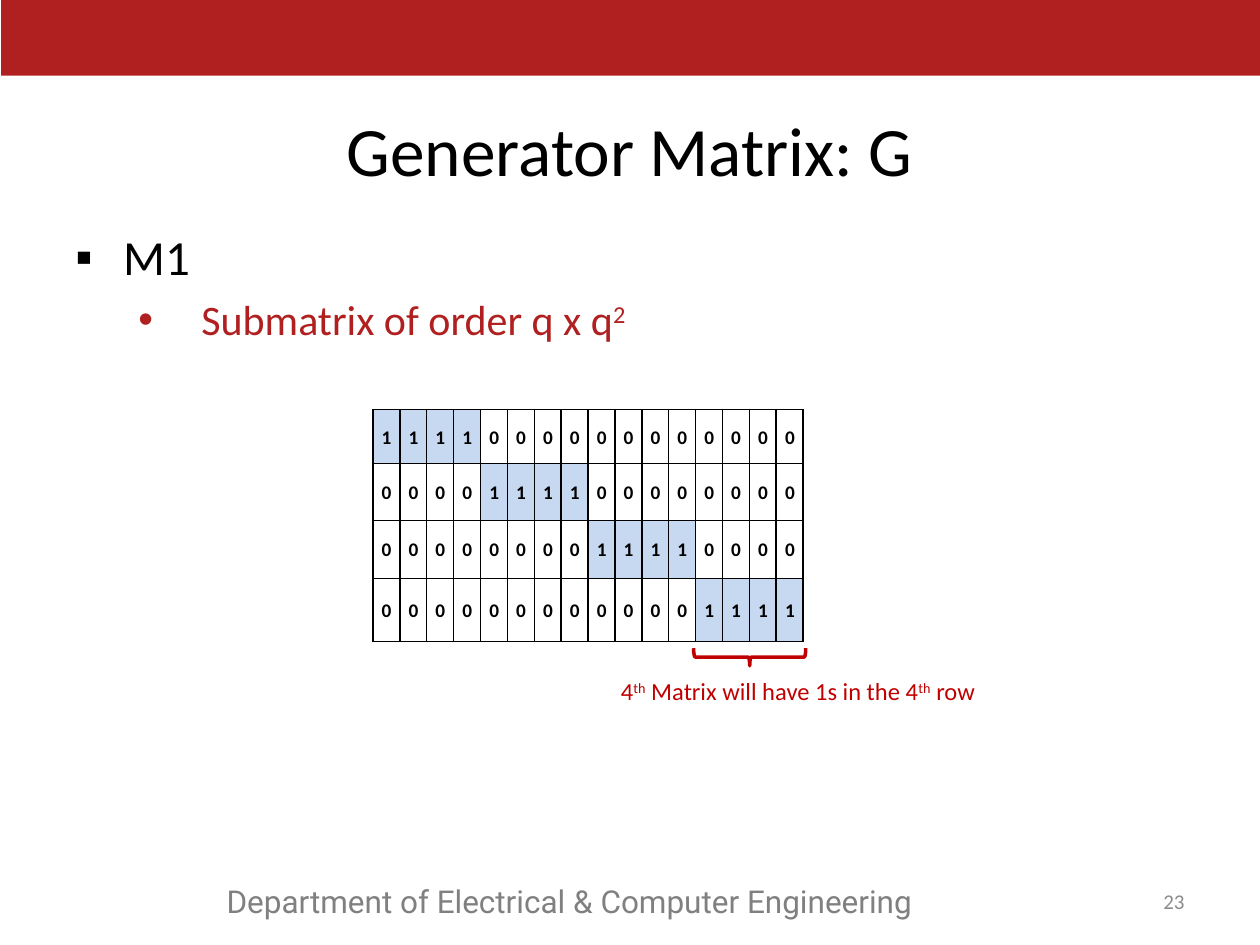
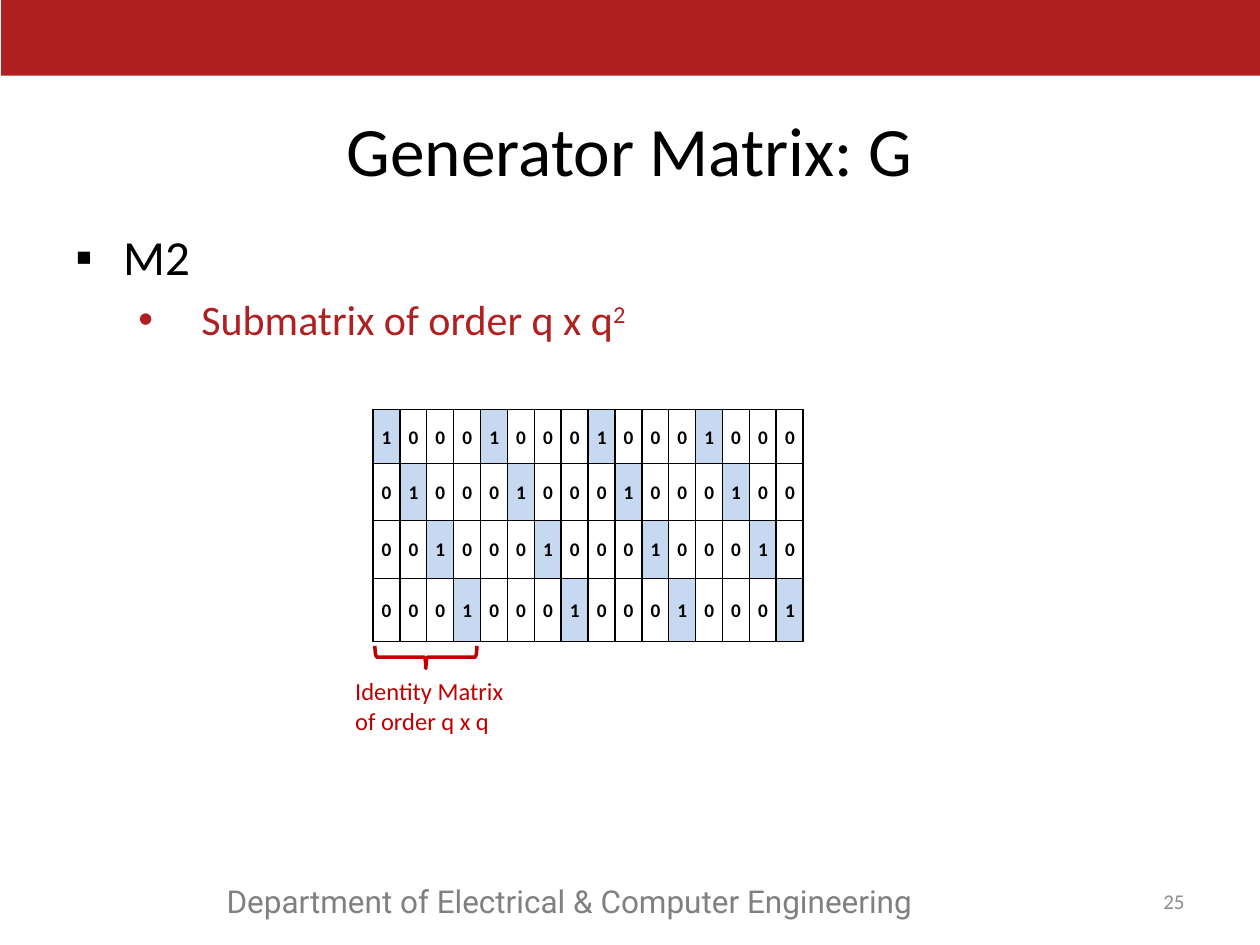
from lxml import etree
from pptx import Presentation
from pptx import util as u
from pptx.dml.color import RGBColor
from pptx.enum import shapes, text
from pptx.oxml import ns

BAND_RED = RGBColor(0xB1, 0x20, 0x20)
NOTE_RED = RGBColor(0xC0, 0x00, 0x00)
BLACK = RGBColor(0x00, 0x00, 0x00)
FOOTER_GRAY = RGBColor(0x80, 0x80, 0x80)
NUMBER_GRAY = RGBColor(0x8C, 0x8C, 0x8C)
CELL_BLUE = RGBColor(0xC6, 0xD9, 0xF1)

LEFT, CENTER, RIGHT = text.PP_ALIGN.LEFT, text.PP_ALIGN.CENTER, text.PP_ALIGN.RIGHT
TOP, MIDDLE = text.MSO_ANCHOR.TOP, text.MSO_ANCHOR.MIDDLE

ORDER = 4
ROW_HEIGHTS = [0.43, 0.45, 0.46, 0.5]
TABLE_BOX = [u.Inches(value) for value in (2.96, 3.25, 3.42, 1.85)]

STYLES = {
    "title": dict(size=39.6, color=BLACK, align=CENTER),
    "bullet": dict(size=28, color=BLACK, bullet="▪", margin=0.38, indent=-0.38),
    "sub-bullet": dict(size=24, color=BAND_RED, bullet="•", margin=1, indent=-0.5),
    "footer": dict(size=18, color=FOOTER_GRAY, name="Roboto"),
    "number": dict(size=12, color=NUMBER_GRAY, align=RIGHT),
    "note": dict(size=14, color=NOTE_RED),
    "cell": dict(size=11, color=BLACK, align=CENTER, bold=True, line_spacing=1.07),
}

SLIDES = [
    dict(heading="M1", number="23", is_one=lambda row, column: column // ORDER == row,
         brace=(5.88, 4.77, 0.14, 0.89), note_box=(4.83, 5.32, 3.53, 0.34),
         note="4^th^ Matrix will have 1s in the 4^th^ row"),
    dict(heading="M2", number="25", is_one=lambda row, column: column % ORDER == row,
         brace=(3.29, 4.81, 0.18, 0.81), note_box=(2.72, 5.32, 1.48, 0.57),
         note="Identity Matrix of order q x q"),
]


def write(paragraph, words, style):
    paragraph.alignment = style.get("align", LEFT)
    paragraph.line_spacing = style.get("line_spacing")
    for index, part in enumerate(words.split("^")):
        if not part:
            continue
        run = paragraph.add_run()
        run.text = part
        font_format = dict(name=style.get("name", "Calibri"), size=u.Pt(style["size"]),
                           bold=style.get("bold", False))
        for attribute, value in font_format.items():
            setattr(run.font, attribute, value)
        run.font.color.rgb = style["color"]
        if index % 2:
            run.font._element.set("baseline", "30000")
    if "bullet" in style:
        paragraph.space_before = u.Pt(style["size"] * 0.2)
        properties = paragraph._p.get_or_add_pPr()
        properties.set("marL", str(u.Inches(style["margin"])))
        properties.set("indent", str(u.Inches(style["indent"])))
        etree.SubElement(properties, ns.qn("a:buFont")).set("typeface", "Arial")
        etree.SubElement(properties, ns.qn("a:buChar")).set("char", style["bullet"])


def add_text(slide, box, lines, anchor=TOP):
    frame = slide.shapes.add_textbox(*[u.Inches(value) for value in box]).text_frame
    frame.word_wrap = True
    frame.vertical_anchor = anchor
    for index, (words, style_name) in enumerate(lines):
        paragraph = frame.add_paragraph() if index else frame.paragraphs[0]
        write(paragraph, words, STYLES[style_name])


presentation = Presentation()
presentation.slide_width, presentation.slide_height = u.Inches(10), u.Inches(7.5)

for content in SLIDES:
    slide = presentation.slides.add_slide(presentation.slide_layouts[6])

    band = slide.shapes.add_shape(shapes.MSO_SHAPE.RECTANGLE,
                                  u.Inches(0.01), 0, u.Inches(9.99), u.Inches(0.6))
    band.shadow.inherit = False
    band.fill.solid()
    band.fill.fore_color.rgb = BAND_RED
    band.line.fill.background()

    add_text(slide, (1.7, 6.95, 5.77, 0.4),
             [("Department of Electrical & Computer Engineering", "footer")])
    add_text(slide, (0.5, 0.81, 9, 0.74), [("Generator Matrix: G", "title")], MIDDLE)
    add_text(slide, (0.5, 1.75, 9, 4.95),
             [(content["heading"], "bullet"), ("Submatrix of order q x q^2^", "sub-bullet")])
    add_text(slide, (8.91, 6.95, 0.59, 0.4), [(content["number"], "number")], MIDDLE)

    table = slide.shapes.add_table(ORDER, ORDER ** 2, *TABLE_BOX).table
    table.first_row = table.horz_banding = False
    for column in table.columns:
        column.width = TABLE_BOX[2] // ORDER ** 2
    for row_index, row in enumerate(table.rows):
        row.height = u.Inches(ROW_HEIGHTS[row_index])
        for column_index, cell in enumerate(row.cells):
            is_one = content["is_one"](row_index, column_index)
            cell_format = dict(margin_left=u.Inches(0.07), margin_right=u.Inches(0.07),
                               margin_top=0, margin_bottom=0, vertical_anchor=MIDDLE)
            for attribute, value in cell_format.items():
                setattr(cell, attribute, value)
            write(cell.text_frame.paragraphs[0], "1" if is_one else "0", STYLES["cell"])
            properties = cell._tc.get_or_add_tcPr()
            for side in ("lnL", "lnR", "lnT", "lnB"):
                border = etree.SubElement(properties, ns.qn(f"a:{side}"), w=str(u.Pt(1)))
                fill = etree.SubElement(border, ns.qn("a:solidFill"))
                etree.SubElement(fill, ns.qn("a:srgbClr"), val=str(BLACK))
            if is_one:
                cell.fill.solid()
                cell.fill.fore_color.rgb = CELL_BLUE
            else:
                cell.fill.background()

    brace = slide.shapes.add_shape(shapes.MSO_SHAPE.RIGHT_BRACE,
                                   *[u.Inches(value) for value in content["brace"]])
    brace.shadow.inherit = False
    brace.rotation = 90
    brace.fill.background()
    brace.line.color.rgb = NOTE_RED
    brace.line.width = u.Pt(2)
    add_text(slide, content["note_box"], [(content["note"], "note")])

presentation.save("out.pptx")
